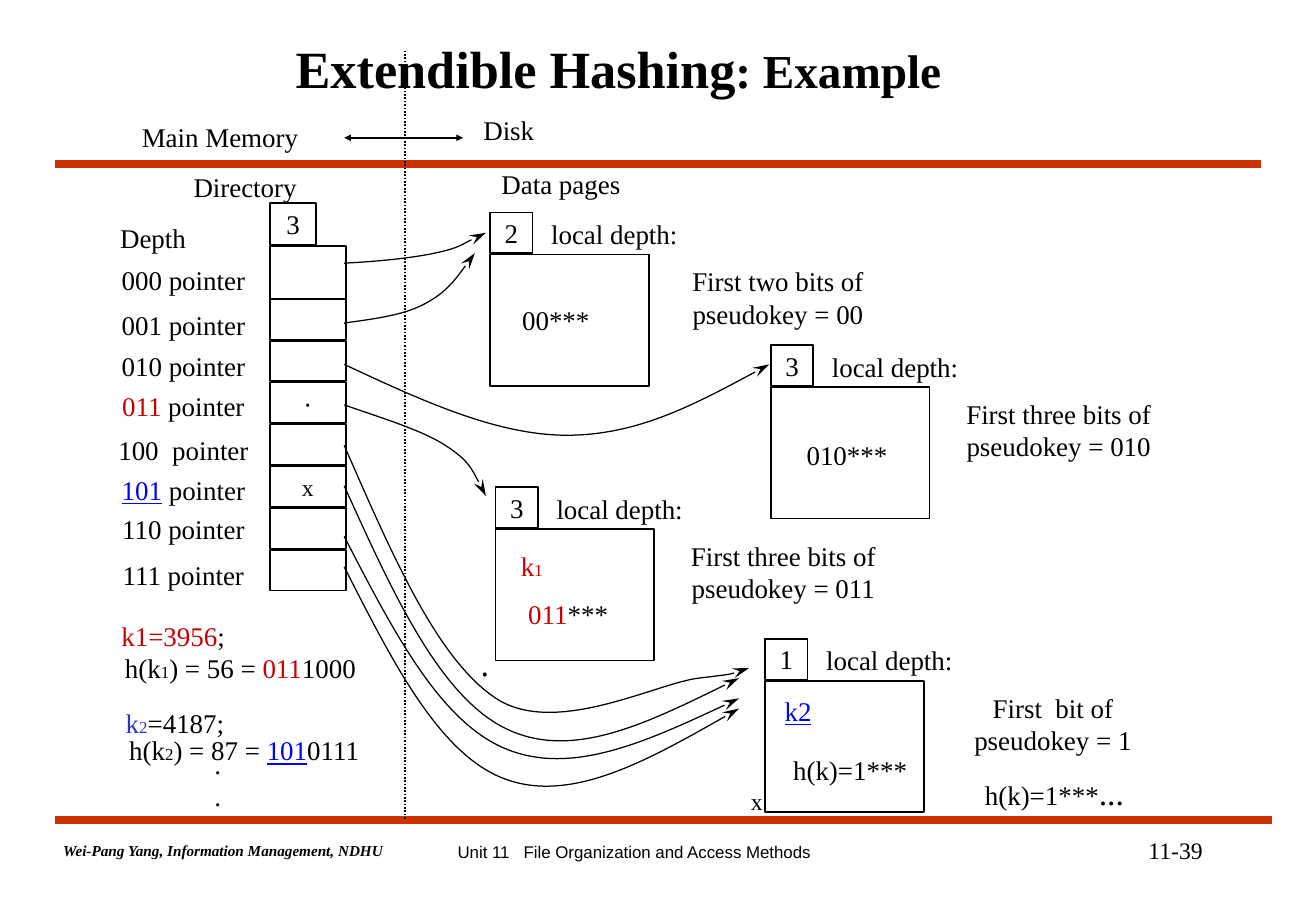
from dataclasses import dataclass
from lxml.etree import SubElement
from pptx import Presentation
from pptx.dml.color import RGBColor
from pptx.enum.dml import MSO_LINE
from pptx.enum.shapes import MSO_CONNECTOR as LINK, MSO_SHAPE as SHAPE
from pptx.enum.text import MSO_ANCHOR as ANCHOR, MSO_AUTO_SIZE as FIT, PP_ALIGN as ALIGN
from pptx.oxml.ns import qn
from pptx.util import Pt

BLACK, WHITE, RED, BLUE, BAR = "000000", "FFFFFF", "C80000", "0000FF", "CC3300"
SERIF, SANS = "Times New Roman", "Arial"


@dataclass(frozen=True)
class Run:
    text: str
    size: float = 16
    hue: str = BLACK
    line: bool = False
    bold: bool = False
    slant: bool = False
    font: str = SERIF


Rows = list[list[Run]]
Box = tuple[float, float, float, float]
Point = tuple[float, float]


@dataclass(frozen=True)
class Label:
    box: Box
    rows: Rows
    align: ALIGN = ALIGN.CENTER
    wrap: bool = False
    grow: bool = True
    space: float = 1


@dataclass(frozen=True)
class Page:
    left: float
    top: float
    depth: str
    note: tuple[str, str]


@dataclass(frozen=True)
class Entry:
    top: float
    label_top: float
    runs: list[Run]
    height: float = 24
    mark: str = ""


def one(text: str, **style) -> Rows:
    return [[Run(text, **style)]]


def color(code: str) -> RGBColor:
    return RGBColor.from_string(code)


def write(frame, rows: Rows, align: ALIGN, space: float = 1) -> None:
    for i, runs in enumerate(rows):
        para = frame.paragraphs[0] if i == 0 else frame.add_paragraph()
        para.alignment, para.line_spacing = align, space
        for run in runs:
            part = para.add_run()
            part.text = run.text
            font = part.font
            font.name, font.size = run.font, Pt(run.size)
            font.bold, font.italic, font.underline = run.bold, run.slant, run.line
            font.color.rgb = color(run.hue)


def add_label(shapes, label: Label) -> None:
    frame = shapes.add_textbox(*map(Pt, label.box)).text_frame
    frame.word_wrap = label.wrap
    frame.auto_size = FIT.SHAPE_TO_FIT_TEXT if label.grow else FIT.NONE
    write(frame, label.rows, label.align, label.space)


def add_rect(shapes, box: Box, text: str = "", size: float = 16) -> None:
    rect = shapes.add_shape(SHAPE.RECTANGLE, *map(Pt, box))
    rect.shadow.inherit = False
    rect.fill.solid()
    rect.fill.fore_color.rgb = color(WHITE)
    rect.line.color.rgb, rect.line.width = color(BLACK), Pt(1)
    if text:
        frame = rect.text_frame
        frame.word_wrap, frame.vertical_anchor = False, ANCHOR.MIDDLE
        write(frame, one(text, size=size), ALIGN.CENTER)


def add_head(line, kind: str, wide: str, long: str) -> None:
    SubElement(line._get_or_add_ln(), qn("a:tailEnd"), type=kind, w=wide, len=long)


def add_line(shapes, start: Point, end: Point, hue: str = BLACK, width: float = 1):
    link = shapes.add_connector(LINK.STRAIGHT, *map(Pt, start + end))
    SubElement(link._element.spPr, qn("a:effectLst"))
    link.line.color.rgb, link.line.width = color(hue), Pt(width)
    return link.line


def add_curve(shapes, points: list[Point]) -> None:
    """Draw cubic curves through a start point and triples of control points."""
    start, *rest = [(Pt(x), Pt(y)) for x, y in points]
    pen = shapes.build_freeform(*start)
    pen.add_line_segments(rest, close=False)
    curve = pen.convert_to_shape()
    curve.shadow.inherit = False
    curve.fill.background()
    curve.line.color.rgb, curve.line.width = color(BLACK), Pt(0.75)
    add_head(curve.line, "stealth", "med", "lg")
    track = curve._element.find(".//" + qn("a:path"))
    legs = track.findall(qn("a:lnTo"))
    for i in range(0, len(legs), 3):
        bend = SubElement(track, qn("a:cubicBezTo"))
        for leg in legs[i:i + 3]:
            bend.append(leg[0])
            track.remove(leg)


def add_page(shapes, page: Page) -> None:
    x, y = page.left, page.top
    add_rect(shapes, (x, y + 24.8, 94, 78))
    add_rect(shapes, (x, y, 25, 24), page.depth)
    add_label(shapes, Label((x + 25.5, y - 0.5, 96, 27), one("local depth:")))
    note = [[Run(text)] for text in page.note]
    add_label(shapes, Label((x + 106.5, y + 27.4, 128, 46), note))


def add_entry(shapes, entry: Entry) -> None:
    add_rect(shapes, (160, entry.top, 45, entry.height), entry.mark, 14)
    add_label(shapes, Label((58.7, entry.label_top, 100, 27), [entry.runs]))


FOOT = [
    Label((564, 492, 156, 48), one("11-39", size=14), ALIGN.RIGHT, True, False),
    Label((30.4, 495.4, 233, 18), one("Wei-Pang Yang, Information Management, NDHU",
          size=9, bold=True, slant=True), ALIGN.LEFT, True),
    Label((174.5, 495.4, 402.5, 22), one("Unit 11   File Organization and Access Methods",
          size=10, font=SANS), wrap=True, grow=False),
]
LABELS = [
    Label((168, 18, 397, 45), [[Run("Extendible Hashing", 31, bold=True),
                                Run(": Example", 28, bold=True)]]),
    Label((64.6, 363.6, 80, 27), [[Run("k1=3956", hue=RED), Run("; ")]]),
    Label((66.5, 386.6, 152, 22), [[Run("h(k"), Run("1", 10), Run(") = 56 = "),
                                    Run("011", hue=RED), Run("1000")]], space=0.8),
    Label((67.2, 405.4, 77, 36), [[Run("k", hue="3333CC"), Run("2", 10, "3333CC"),
                                   Run("=4187; ")]], space=1.5),
    Label((68.7, 429.6, 152, 28), [[Run("h(k"), Run("2", 10), Run(") = 87 = "),
                                    Run("101", hue=BLUE, line=True), Run("0111")]], space=1.1),
    Label((105.3, 97.6, 80, 27), one("Directory")),
    Label((60.7, 127.8, 60, 27), one("Depth")),
    Label((77, 67.7, 110, 27), one("Main Memory"), ALIGN.LEFT),
    Label((120, 439.4, 19, 65), [[Run(".")], [Run(".")]], ALIGN.LEFT),
    Label((288, 95.8, 89, 27), one("Data pages")),
    Label((279.4, 63.8, 48, 27), one("Disk"), ALIGN.LEFT),
]
DETAILS = [
    Label((302.4, 176.4, 58, 27), one("00***"), ALIGN.LEFT),
    Label((471, 256.3, 66, 27), one("010***"), ALIGN.LEFT),
    Label((453, 408.2, 40, 27), one("k2", hue=BLUE, line=True)),
    Label((463, 443, 85, 27), one("h(k)=1***"), ALIGN.LEFT),
    Label((576.7, 454, 100, 31), [[Run("h(k)=1***"), Run("...", 20)]], ALIGN.LEFT),
    Label((438, 462.6, 24, 24), one("x", size=14), ALIGN.LEFT, True),
    Label((295.2, 322, 40, 27), [[Run("k", hue=RED), Run("1", 10, RED)]]),
    Label((306, 350.6, 66, 27), [[Run("011", hue=RED), Run("***")]], ALIGN.LEFT),
    Label((276.5, 383, 22, 29), one("‧", size=18, font=SANS), wrap=True),
]
ROW, STEP = 177.2, 24.8
ENTRIES = [
    Entry(146, 152.6, [Run("000 pointer")], 31),
    Entry(ROW, 179.3, [Run("001 pointer")]),
    Entry(ROW + STEP, 203.8, [Run("010 pointer")]),
    Entry(ROW + 2 * STEP, 227.5, [Run("011", hue=RED), Run(" pointer")], mark="‧"),
    Entry(ROW + 3 * STEP, 253.4, [Run("100  pointer")]),
    Entry(ROW + 4 * STEP, 277.2, [Run("101", hue=BLUE, line=True), Run(" pointer")], mark="x"),
    Entry(ROW + 5 * STEP, 300.5, [Run("110 pointer")]),
    Entry(ROW + 6 * STEP, 327.6, [Run("111 pointer")]),
]
PAGES = [
    Page(290.6, 126, "2", ("First two bits of", "pseudokey = 00")),
    Page(457, 204.6, "3", ("First three bits of", "pseudokey = 010")),
    Page(453.6, 378.7, "1", ("First  bit of", "pseudokey = 1")),
    Page(293.8, 288.7, "3", ("First three bits of", "pseudokey = 011")),
]
CURVES = [
    [(204, 156), (224, 155), (244, 153), (258, 150), (272, 147), (283, 140), (288, 138)],
    [(204, 191.5), (222, 189), (239, 187), (252, 180), (265, 173), (273.5, 161), (281.5, 150)],
    [(204, 216), (249, 237), (294, 258), (336, 258), (378, 258), (417, 237), (456, 216)],
    [(204, 240), (227, 248), (250, 255), (264, 264), (278, 273), (283, 284), (288, 294)],
    [(204, 264), (232, 328), (259, 391), (294, 414), (329, 437), (389, 405), (414, 402),
     (439, 399), (441.5, 397.5), (444, 396)],
    [(204, 318), (232.5, 373), (260.5, 428), (300, 444), (339, 460), (389, 437), (438, 414)],
    [(204, 288), (232.5, 351), (260.5, 413), (300, 432), (339, 451), (389, 426), (438, 402)],
    [(204, 336), (232.5, 392), (260.5, 448), (300, 462), (339, 476), (389, 448), (438, 420)],
]


def main() -> None:
    deck = Presentation()
    deck.slide_width, deck.slide_height = Pt(780), Pt(540)
    shapes = deck.slides.add_slide(deck.slide_layouts[6]).shapes
    for y, end in ((97.2, 747.5), (486, 754)):
        add_line(shapes, (32.5, y), (end, y), BAR, 4.5)
    for label in FOOT + LABELS:
        add_label(shapes, label)
    add_rect(shapes, (160, 120.5, 27.5, 24.5), "3")
    for entry in ENTRIES:
        add_entry(shapes, entry)
    for page in PAGES:
        add_page(shapes, page)
    for label in DETAILS:
        add_label(shapes, label)
    for tip in (204, 274.5):
        add_head(add_line(shapes, (240, 81.7), (tip, 81.7)), "triangle", "sm", "sm")
    add_line(shapes, (240, 30), (240, 486)).dash_style = MSO_LINE.ROUND_DOT
    for points in CURVES:
        add_curve(shapes, points)
    deck.save("out.pptx")


if __name__ == "__main__":
    main()
